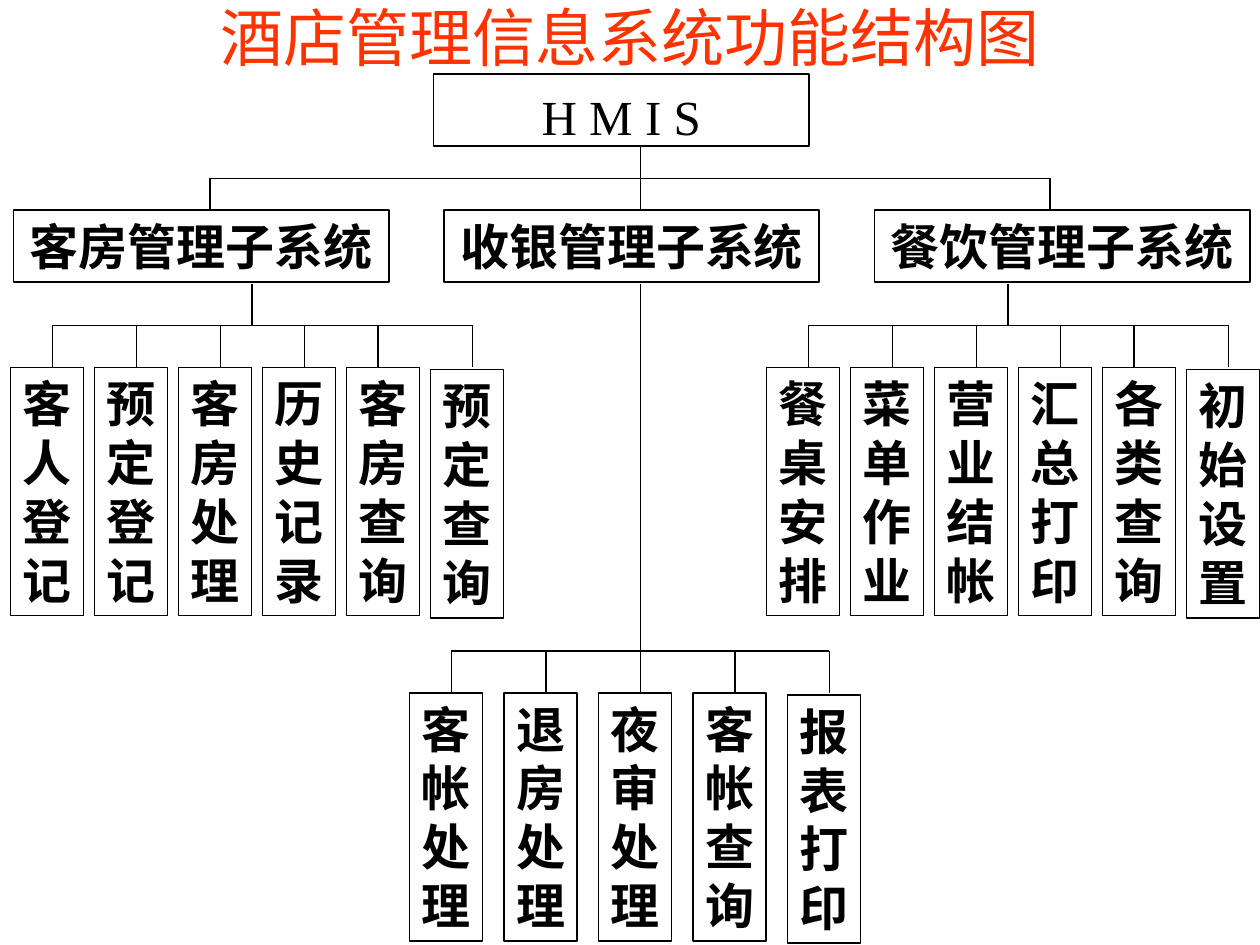
from dataclasses import dataclass

from lxml.etree import SubElement
from pptx import Presentation
from pptx.dml.color import RGBColor
from pptx.enum.lang import MSO_LANGUAGE_ID
from pptx.enum.shapes import MSO_CONNECTOR, MSO_SHAPE
from pptx.enum.text import MSO_ANCHOR, PP_ALIGN
from pptx.oxml.ns import qn
from pptx.util import Inches, Pt


@dataclass(frozen=True)
class Theme:
    title_color: RGBColor = RGBColor(0xFF, 0x33, 0x00)
    ink: RGBColor = RGBColor(0, 0, 0)
    title_size: int = 36
    box_size: int = 28
    line_width: float = 1
    latin: str = "Times New Roman"
    cjk: str = "Noto Sans CJK JP"


@dataclass(frozen=True)
class Subsystem:
    """A header box and the functions hanging from its rail, in grid units."""
    name: str
    left: float
    trunk: int
    rail: int
    first_leaf: int
    pitch: int
    drops: tuple[int, ...]
    functions: tuple[str, ...]


THEME = Theme()
UNIT = Inches(1) / 12  # grid of 120 columns by 90 rows
HEADER_W, HEADER_H = 35.76, 6.84
LEAF_W, LEAF_H = 6.96, 23.64
LAST_LEAF_SHIFT = 0.2
DROP = 4
ROOT_LEFT, ROOT_TOP, ROOT_BOTTOM = 41.28, 7.08, 14
TOP_RAIL, HEADER_TOP, HEADER_BOTTOM = 17, 20, 27
ROOT_DROPS = (20, 61, 100)

SUBSYSTEMS = (
    Subsystem("客房管理子系统", 1.28, 24, 31, 1, 8, (5, 13, 21, 29, 36, 45),
              ("客人登记", "预定登记", "客房处理", "历史记录", "客房查询", "预定查询")),
    Subsystem("收银管理子系统", 42.28, 61, 62, 39, 9, (43, 52, 61, 70, 79),
              ("客帐处理", "退房处理", "夜审处理", "客帐查询", "报表打印")),
    Subsystem("餐饮管理子系统", 83.28, 96, 31, 73, 8, (77, 85, 93, 101, 108, 117),
              ("餐桌安排", "菜单作业", "营业结帐", "汇总打印", "各类查询", "初始设置")),
)


def grid(*values: float) -> list[int]:
    return [round(v * UNIT) for v in values]


def write(sp, text: str, size: int, color: RGBColor, latin: str,
          bold: bool = False, **frame) -> None:
    tf = sp.text_frame
    for name, value in ({"word_wrap": True} | frame).items():
        setattr(tf, name, value)
    p = tf.paragraphs[0]
    p.alignment = PP_ALIGN.CENTER
    r = p.add_run()
    r.text = text
    style = {"size": Pt(size), "name": latin, "bold": bold,
             "language_id": MSO_LANGUAGE_ID.SIMPLIFIED_CHINESE}
    for name, value in style.items():
        setattr(r.font, name, value)
    r.font.color.rgb = color
    r.font._element.find(qn("a:latin")).addnext(
        SubElement(r.font._element, qn("a:ea"), typeface=THEME.cjk))


def box(s, text: str, left: float, top: float, width: float, height: float,
        bold: bool = True, **frame) -> None:
    sp = s.shapes.add_shape(MSO_SHAPE.RECTANGLE, *grid(left, top, width, height))
    sp.shadow.inherit = False
    sp.fill.background()
    sp.line.color.rgb = THEME.ink
    sp.line.width = Pt(THEME.line_width)
    write(sp, text, THEME.box_size, THEME.ink, THEME.latin, bold,
          **({"vertical_anchor": MSO_ANCHOR.TOP} | frame))


def line(s, x1: float, y1: float, x2: float, y2: float) -> None:
    c = s.shapes.add_connector(MSO_CONNECTOR.STRAIGHT, *grid(x1, y1, x2, y2))
    c.line.color.rgb = THEME.ink
    c.line.width = Pt(THEME.line_width)
    SubElement(c._element.spPr, qn("a:effectLst"))


def branch(s, trunk: int, top: int, rail: int, bottom: int,
           drops: tuple[int, ...]) -> None:
    """Trunk down to a rail, with one drop for each child."""
    line(s, trunk, top, trunk, bottom if trunk in drops else rail)
    line(s, drops[0], rail, drops[-1], rail)
    for x in drops:
        if x != trunk:
            line(s, x, rail, x, bottom)


def draw_subsystem(s, sub: Subsystem) -> None:
    box(s, sub.name, sub.left, HEADER_TOP, HEADER_W, HEADER_H)
    leaf_top = sub.rail + DROP
    last = len(sub.functions) - 1
    for i, name in enumerate(sub.functions):
        shift = LAST_LEAF_SHIFT if i == last else 0
        box(s, name, sub.first_leaf + i * sub.pitch, leaf_top + shift, LEAF_W, LEAF_H)
    branch(s, sub.trunk, HEADER_BOTTOM, sub.rail, leaf_top, sub.drops)


def main() -> None:
    prs = Presentation()
    prs.slide_width, prs.slide_height = grid(120, 90)
    s = prs.slides.add_slide(prs.slide_layouts[6])

    # Title
    title = s.shapes.add_textbox(*grid(0, 1.8, 120, 3.24))
    write(title, "酒店管理信息系统功能结构图", THEME.title_size, THEME.title_color,
          THEME.cjk, vertical_anchor=MSO_ANCHOR.MIDDLE)

    # Whole system
    box(s, "H M I S", ROOT_LEFT, ROOT_TOP, HEADER_W, HEADER_H, bold=False,
        margin_top=Inches(0.1))
    branch(s, 61, ROOT_BOTTOM, TOP_RAIL, HEADER_TOP, ROOT_DROPS)

    # Subsystems and their functions
    for sub in SUBSYSTEMS:
        draw_subsystem(s, sub)

    prs.save("out.pptx")


if __name__ == "__main__":
    main()
